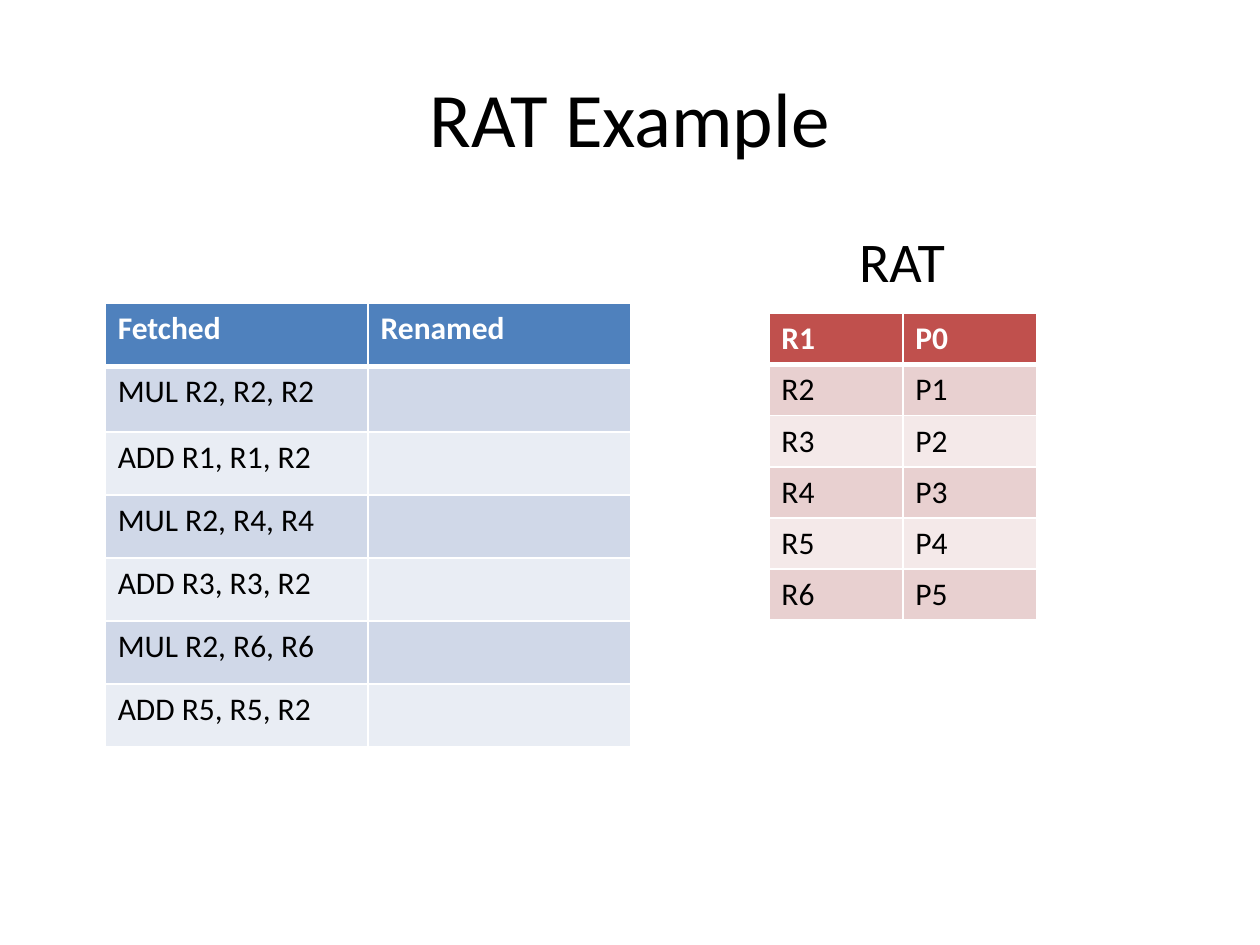
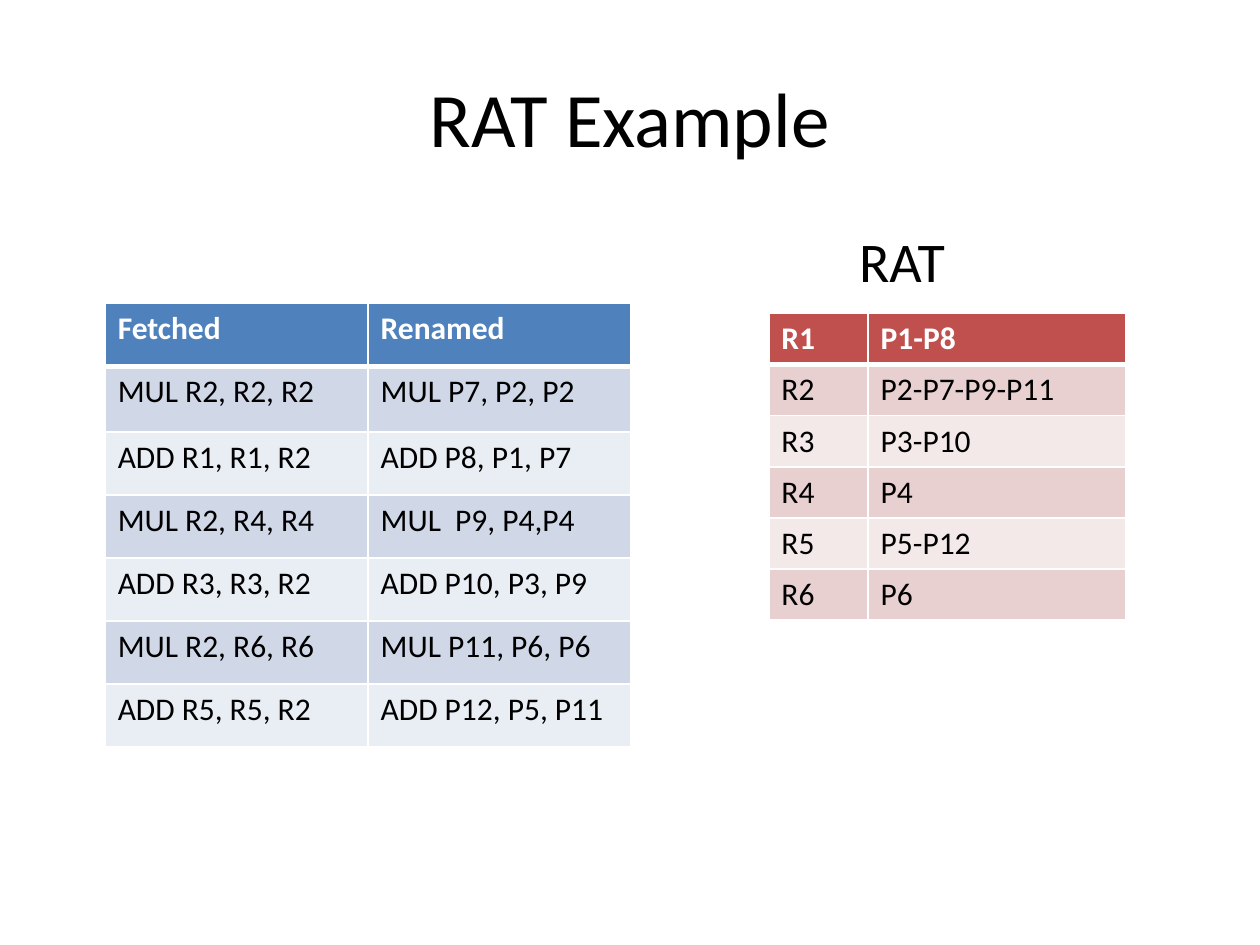
from pptx import Presentation
from pptx.dml.color import RGBColor
from pptx.enum.text import MSO_ANCHOR as Anchor, PP_ALIGN as Align
from pptx.oxml import parse_xml
from pptx.oxml.ns import nsdecls
from pptx.util import Cm, Pt

FONT = "Calibri"
COLOURS = {
    "text": "000000",
    "line": "FFFFFF",
    "header text": "FFFFFF",
    "blue": "4F81BD",
    "blue band": "D0D8E8",
    "blue pale": "E9EDF4",
    "red": "C0504D",
    "red band": "E8D0D0",
    "red pale": "F4E9E9",
}
THIN, THICK = 1, 3

FETCHED = ["MUL R2, R2, R2", "ADD R1, R1, R2", "MUL R2, R4, R4",
           "ADD R3, R3, R2", "MUL R2, R6, R6", "ADD R5, R5, R2"]
RENAMED = ["MUL P7, P2, P2", "ADD P8, P1, P7", "MUL  P9, P4,P4",
           "ADD P10, P3, P9", "MUL P11, P6, P6", "ADD P12, P5, P11"]
REGISTERS = [f"R{number}" for number in range(1, 7)]
INITIAL_MAPPING = [f"P{number}" for number in range(6)]
MAPPING_HISTORY = ["P1-P8", "P2-P7-P9-P11", "P3-P10", "P4", "P5-P12", "P6"]


def colour(name):
    return RGBColor.from_string(COLOURS[name])


def add_run(paragraph, text, size, colour_name="text", bold=False):
    run = paragraph.add_run()
    run.text = text
    font = run.font
    font.name, font.size, font.bold = FONT, Pt(size), bold
    font.color.rgb = colour(colour_name)


def add_text(slide, box, text, size, anchor=Anchor.TOP, align=Align.LEFT):
    """Add one line of text in a box of left, top, width, height in cm."""
    shape = slide.shapes.add_textbox(*map(Cm, box))
    frame = shape.text_frame
    frame.word_wrap = True
    frame.vertical_anchor = anchor
    paragraph = frame.paragraphs[0]
    paragraph.alignment = align
    add_run(paragraph, text, size)
    return paragraph


def set_borders(cell, top, bottom):
    """Draw the four cell borders; top and bottom are widths in points."""
    properties = cell._tc.get_or_add_tcPr()
    widths = {"lnL": THIN, "lnR": THIN, "lnT": top, "lnB": bottom}
    for index, (side, width) in enumerate(widths.items()):
        properties.insert(index, parse_xml(
            f'<a:{side} {nsdecls("a")} w="{Pt(width)}"><a:solidFill>'
            f'<a:srgbClr val="{COLOURS["line"]}"/></a:solidFill></a:{side}>'))


def add_banded_table(slide, corner, widths, heights, rows, hue):
    """Add a table with a header row; corner, widths and heights are in cm."""
    left, top = corner
    frame = slide.shapes.add_table(
        len(rows), len(widths), Cm(left), Cm(top), Cm(sum(widths)), Cm(sum(heights)))
    table = frame.table
    for column, width in zip(table.columns, widths):
        column.width = Cm(width)
    for index, (row, height, texts) in enumerate(zip(table.rows, heights, rows)):
        row.height = Cm(height)
        header = index == 0
        fill = hue if header else f"{hue} band" if index % 2 else f"{hue} pale"
        for cell, text in zip(row.cells, texts):
            cell.fill.solid()
            cell.fill.fore_color.rgb = colour(fill)
            set_borders(cell, THICK if index == 1 else THIN, THICK if header else THIN)
            if text:
                add_run(cell.text_frame.paragraphs[0], text, 18,
                        "header text" if header else "text", header)


def add_instructions(slide, corner, renamed):
    rows = [("Fetched", "Renamed"), *zip(FETCHED, renamed)]
    heights = [1.27, 1.32] + [1.27] * 5
    add_banded_table(slide, corner, [5.3, 5.3], heights, rows, "blue")


def add_register_table(slide, corner, widths, mapping):
    rows = list(zip(REGISTERS, mapping))
    add_banded_table(slide, corner, widths, [1.03] * len(rows), rows, "red")


def add_example_slide(presentation, renamed, mapping, mapping_widths):
    slide = presentation.slides.add_slide(presentation.slide_layouts[6])
    add_text(slide, (1.27, 0.76, 22.86, 3.18), "RAT Example", 44,
             Anchor.MIDDLE, Align.CENTER)
    label = add_text(slide, (1.27, 4.45, 22.86, 12.57), "RAT", 32)
    label._p.get_or_add_pPr().set("marL", str(Cm(15.8)))
    add_instructions(slide, (2.12, 6.12), renamed)
    add_register_table(slide, (15.5, 6.32), mapping_widths, mapping)


def main():
    presentation = Presentation()
    presentation.slide_width, presentation.slide_height = Cm(25.4), Cm(19.05)
    add_example_slide(presentation, [""] * len(FETCHED), INITIAL_MAPPING, [2.7, 2.7])
    add_example_slide(presentation, RENAMED, MAPPING_HISTORY, [2, 5.2])
    presentation.save("out.pptx")


if __name__ == "__main__":
    main()
